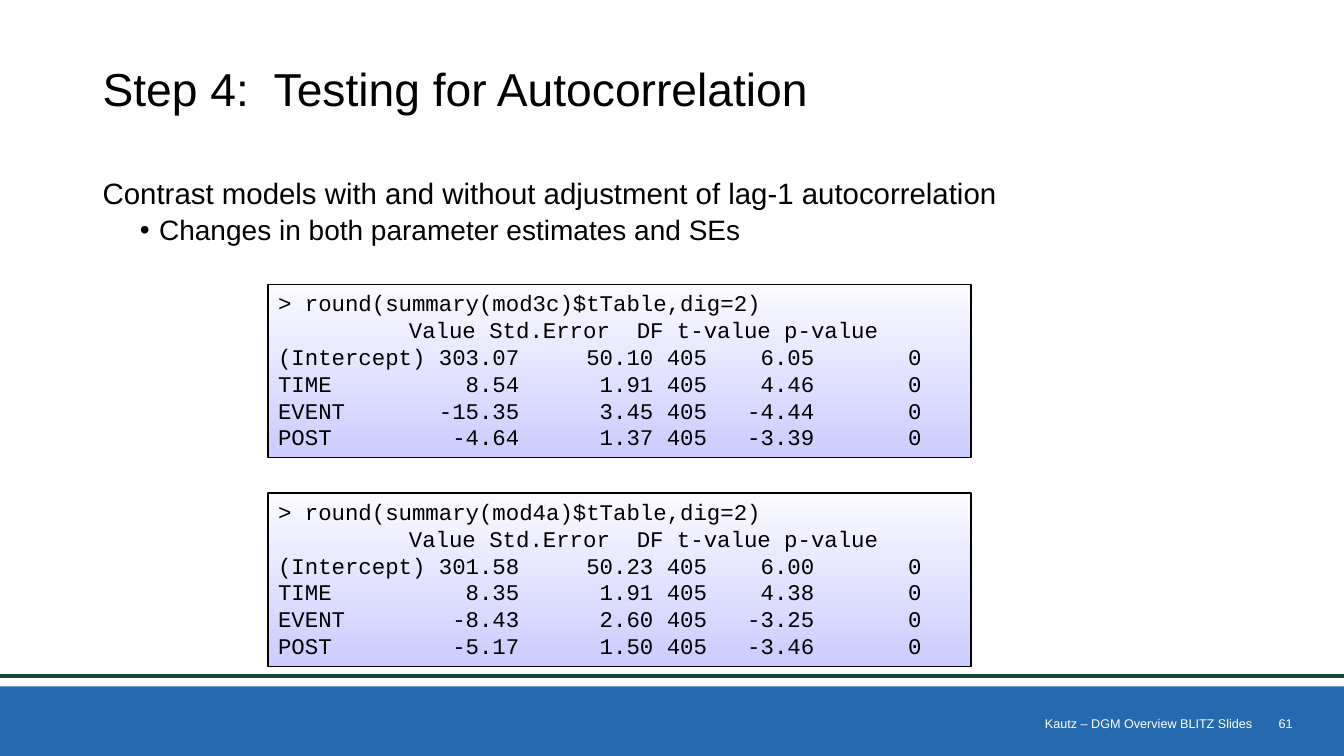
from lxml.etree import SubElement
from pptx import Presentation
from pptx.dml.color import RGBColor
from pptx.enum.shapes import MSO_CONNECTOR, MSO_SHAPE
from pptx.enum.text import MSO_ANCHOR, PP_ALIGN
from pptx.oxml.ns import qn
from pptx.util import Inches, Pt


def color(value):
    return RGBColor.from_string(value)


def apply(target, values):
    for name, value in values.items():
        setattr(target, name, value)


class SlideBuilder:
    black = "000000"
    white = "FFFFFF"
    blue = "256AAF"
    green = "154734"
    gradient = ("FAFAFF", "CCCCFF")
    sans = "Arial"
    mono = "Courier New"

    def __init__(self, slide):
        self.slide = slide

    def rectangle(self, left, top, width, height):
        shape = self.slide.shapes.add_shape(
            MSO_SHAPE.RECTANGLE, Inches(left), Inches(top), Inches(width), Inches(height))
        shape.shadow.inherit = False
        return shape

    def band(self, left, top, width, height):
        shape = self.rectangle(left, top, width, height)
        shape.fill.solid()
        shape.fill.fore_color.rgb = color(self.blue)
        shape.line.fill.background()

    def rule(self, left, right, top):
        connector = self.slide.shapes.add_connector(
            MSO_CONNECTOR.STRAIGHT, Inches(left), Inches(top), Inches(right), Inches(top))
        connector.line.color.rgb = color(self.green)
        connector.line.width = Pt(3)
        SubElement(connector._element.spPr, qn("a:effectLst"))

    def add_text(self, paragraph, text, size, font, text_color, **layout):
        apply(paragraph, layout)
        run = paragraph.add_run()
        run.text = text
        apply(run.font, {"size": Pt(size), "name": font})
        run.font.color.rgb = color(text_color)

    def text_box(self, left, top, width, height, **frame_format):
        box = self.slide.shapes.add_textbox(
            Inches(left), Inches(top), Inches(width), Inches(height))
        apply(box.text_frame, {"word_wrap": True, **frame_format})
        return box.text_frame

    def bullet(self, paragraph, left, indent):
        properties = paragraph._p.get_or_add_pPr()
        properties.set("marL", str(Inches(left)))
        properties.set("indent", str(Inches(indent)))
        SubElement(properties, qn("a:buFont")).set("typeface", self.sans)
        SubElement(properties, qn("a:buChar")).set("char", "•")

    def console(self, left, top, width, height, lines):
        shape = self.rectangle(left, top, width, height)
        shape.fill.gradient()
        shape.fill.gradient_angle = 270
        for stop, value, position in zip(shape.fill.gradient_stops, self.gradient, (0, 1)):
            stop.color.rgb = color(value)
            stop.position = position
        shape.line.color.rgb = color(self.black)
        shape.line.width = Pt(1)
        frame = shape.text_frame
        apply(frame, {"word_wrap": True, "vertical_anchor": MSO_ANCHOR.TOP})
        for index, line in enumerate(lines):
            paragraph = frame.add_paragraph() if index else frame.paragraphs[0]
            self.add_text(paragraph, line, 16, self.mono, self.black, alignment=PP_ALIGN.LEFT)


def console_lines(model, rows):
    yield f"> round(summary({model})$tTable,dig=2)"
    yield " \t      Value Std.Error  DF t-value p-value"
    for label, value, error, t_value in rows:
        yield f"{label:<11}{value:>7.2f}{error:>10.2f}{405:>4}{t_value:>8.2f}{0:>8}"


MODELS = {
    "mod3c": [
        ("(Intercept)", 303.07, 50.10, 6.05),
        ("TIME", 8.54, 1.91, 4.46),
        ("EVENT", -15.35, 3.45, -4.44),
        ("POST", -4.64, 1.37, -3.39),
    ],
    "mod4a": [
        ("(Intercept)", 301.58, 50.23, 6.00),
        ("TIME", 8.35, 1.91, 4.38),
        ("EVENT", -8.43, 2.60, -3.25),
        ("POST", -5.17, 1.50, -3.46),
    ],
}


def main():
    presentation = Presentation()
    apply(presentation, {"slide_width": Inches(13.33), "slide_height": Inches(7.5)})
    builder = SlideBuilder(presentation.slides.add_slide(presentation.slide_layouts[6]))

    builder.band(0, 6.81, 13.33, 0.69)
    builder.rule(0, 13.33, 6.71)

    title = builder.text_box(0.92, 0.27, 11.5, 1.27, vertical_anchor=MSO_ANCHOR.MIDDLE)
    builder.add_text(title.paragraphs[0], "Step 4:  Testing for Autocorrelation",
                     33, builder.sans, builder.black, line_spacing=0.9)

    body = builder.text_box(0.92, 1.73, 11.5, 4.77)
    builder.add_text(body.paragraphs[0],
                     "Contrast models with and without adjustment of lag-1 autocorrelation",
                     21, builder.sans, builder.black, line_spacing=0.9, space_before=Pt(7.5))
    detail = body.add_paragraph()
    builder.add_text(detail, "Changes in both parameter estimates and SEs",
                     20, builder.sans, builder.black,
                     level=1, line_spacing=0.9, space_before=Pt(3.8))
    builder.bullet(detail, 0.56, -0.19)

    for index, (model, rows) in enumerate(MODELS.items()):
        builder.console(2.66, 2.82 + 2.07 * index, 6.97, 1.72, console_lines(model, rows))

    footers = [
        ("61", 12.42, 0.5, Inches(0.1)),
        ("Kautz – DGM Overview BLITZ Slides", 4.42, 8, 0),
    ]
    for text, left, width, margin in footers:
        footer = builder.text_box(left, 7.07, width, 0.21,
                                  vertical_anchor=MSO_ANCHOR.MIDDLE, margin_right=margin)
        builder.add_text(footer.paragraphs[0], text, 9, builder.sans, builder.white,
                         alignment=PP_ALIGN.RIGHT)

    presentation.save("out.pptx")


if __name__ == "__main__":
    main()
